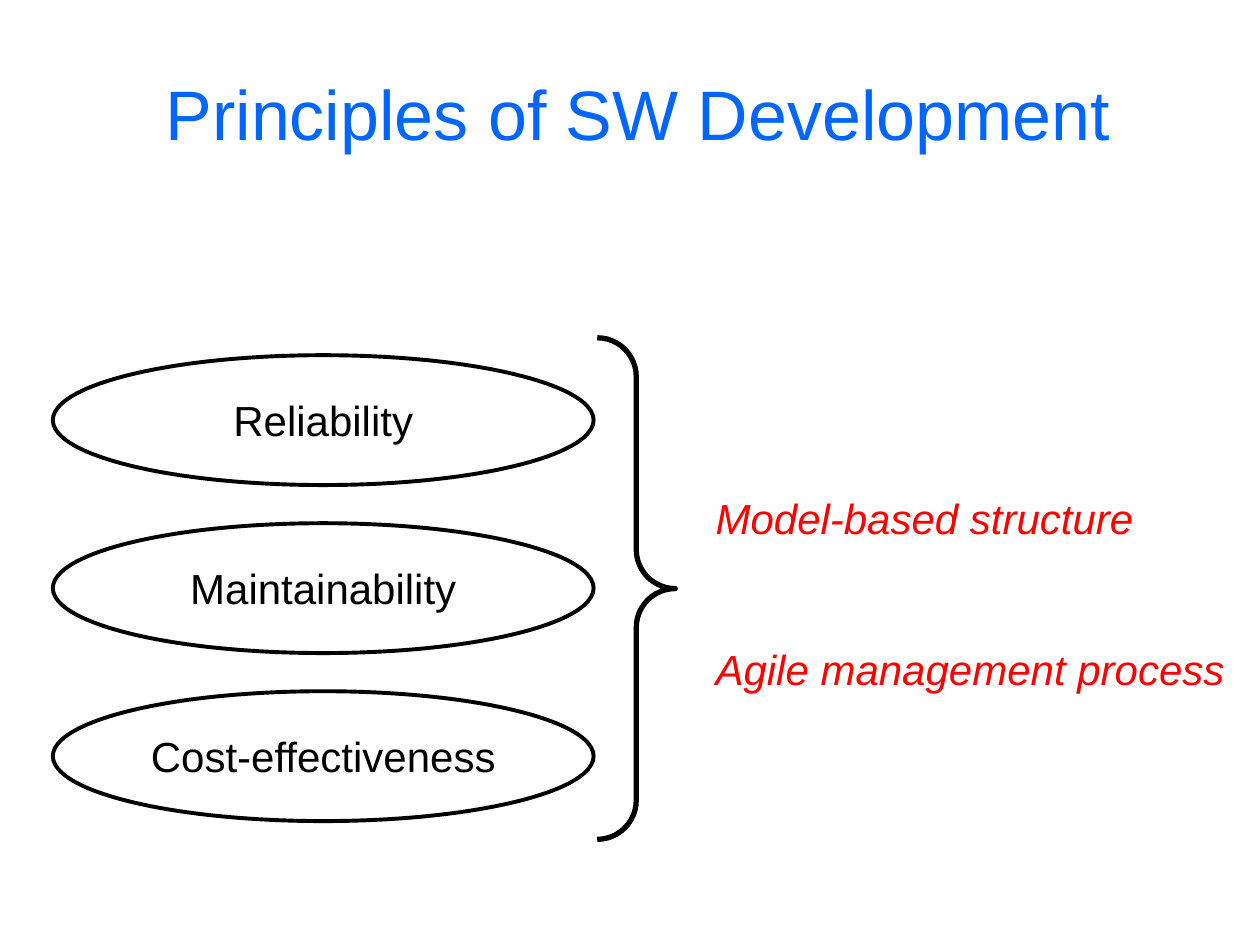
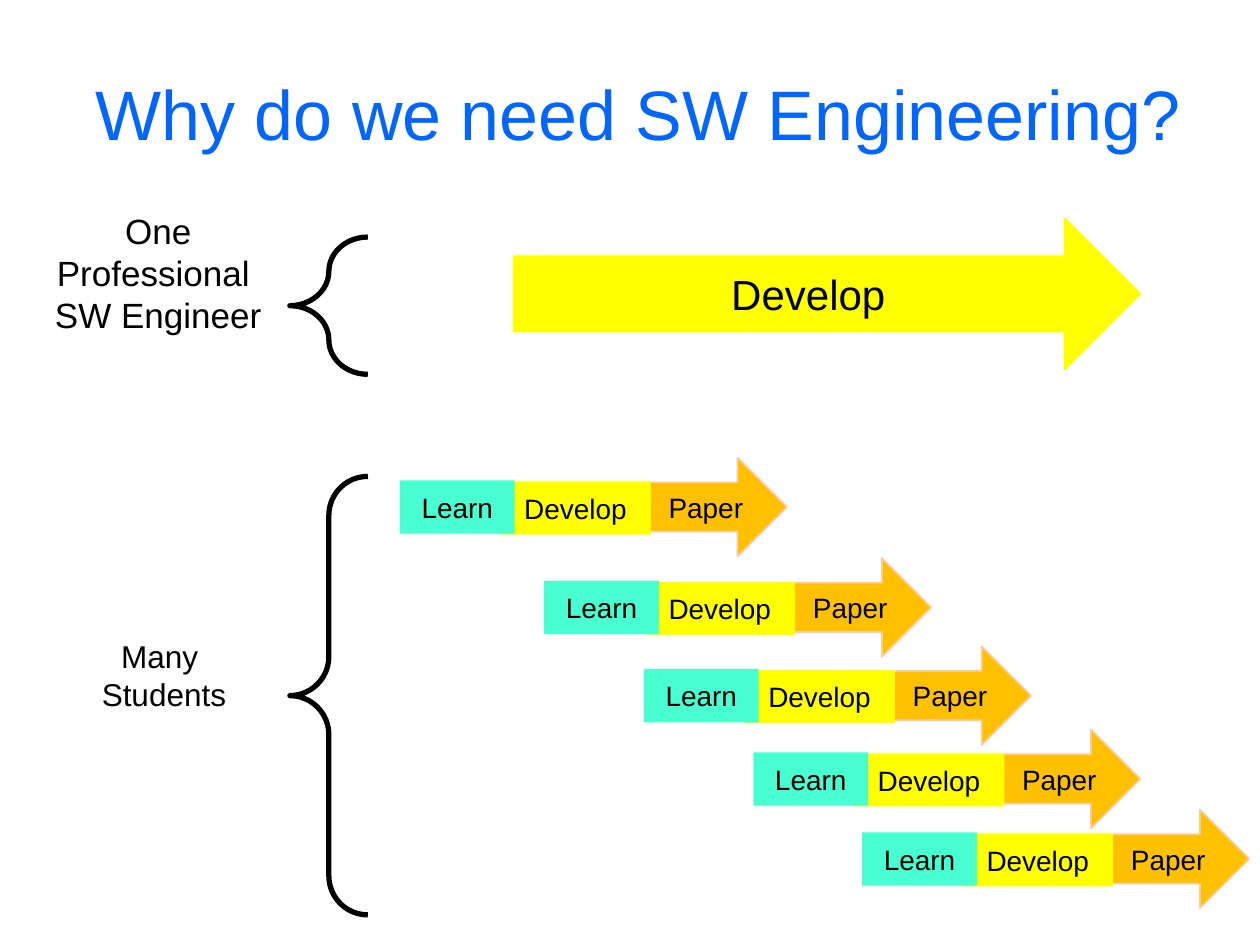
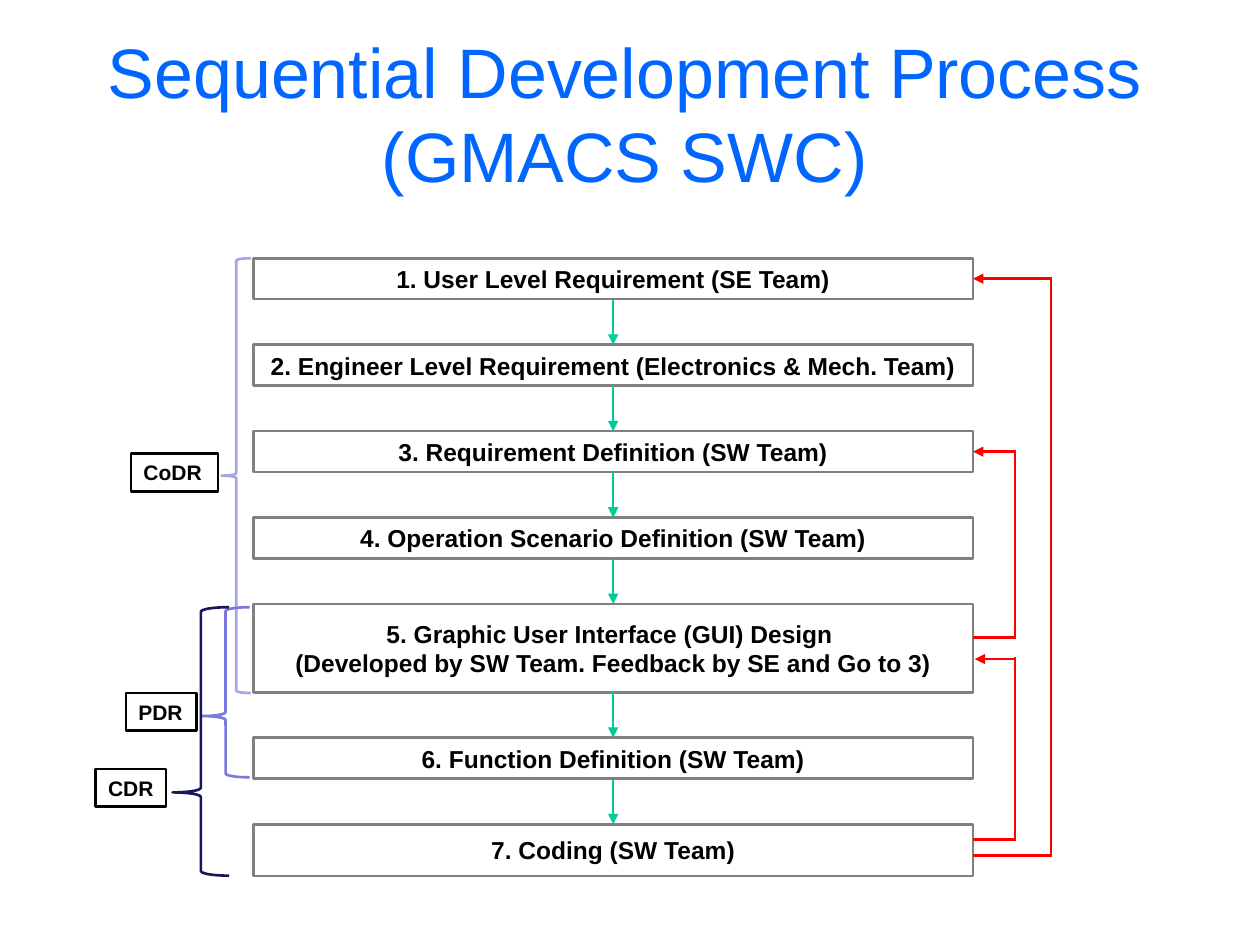
from dataclasses import dataclass

from lxml.etree import SubElement
from pptx import Presentation
from pptx.dml.color import RGBColor
from pptx.enum.shapes import MSO_CONNECTOR, MSO_SHAPE
from pptx.enum.text import MSO_ANCHOR, PP_ALIGN
from pptx.oxml.ns import qn
from pptx.util import Pt


@dataclass(frozen=True)
class Theme:
    font: str = "Arial"
    title: str = "0066FF"
    ink: str = "000000"
    red: str = "FF0000"
    green: str = "00CC99"
    gray: str = "808080"
    yellow: str = "FFFF00"
    orange: str = "FFC000"
    peach: str = "FFCC99"
    mint: str = "47FFD1"
    pale: str = "A5A5E9"
    mid: str = "7878DE"
    navy: str = "17175C"
    head: int = 40
    big: int = 24
    note: int = 20
    small: int = 18
    tag: int = 16
    step: int = 14
    mark: int = 12


T = Theme()


def put(slide, kind, box, text=(), size=T.big, color=T.ink, fill=None, line=None,
        width=1.5, bold=False, italic=False, align=PP_ALIGN.CENTER,
        anchor=MSO_ANCHOR.MIDDLE, wrap=True, adjust=()):
    """Add a shape, or a text box if kind is None; each item of text is a paragraph."""
    area = [Pt(v) for v in box]
    if kind is None:
        shape = slide.shapes.add_textbox(*area)
    else:
        shape = slide.shapes.add_shape(kind, *area)
        shape.shadow.inherit = False
        if fill:
            shape.fill.solid()
            shape.fill.fore_color.rgb = RGBColor.from_string(fill)
        else:
            shape.fill.background()
        if line:
            shape.line.color.rgb = RGBColor.from_string(line)
            shape.line.width = Pt(width)
        else:
            shape.line.fill.background()
        for i, value in enumerate(adjust):
            shape.adjustments[i] = value
    frame = shape.text_frame
    frame.word_wrap = wrap
    frame.vertical_anchor = anchor
    for i, words in enumerate(text):
        para = frame.add_paragraph() if i else frame.paragraphs[0]
        para.alignment = align
        for j, part in enumerate(words.split("\n")):
            if j:
                para.add_line_break()
            run = para.add_run()
            run.text = part
            run.font.name = T.font
            run.font.size = Pt(size)
            run.font.bold = bold
            run.font.italic = italic
            run.font.color.rgb = RGBColor.from_string(color)
    return shape


def link(slide, start, end, color, arrow=False):
    wire = slide.shapes.add_connector(
        MSO_CONNECTOR.STRAIGHT, *[Pt(v) for v in (*start, *end)])
    wire.line.color.rgb = RGBColor.from_string(color)
    wire.line.width = Pt(1.5)
    if arrow:
        SubElement(wire.line._get_or_add_ln(), qn("a:tailEnd"), type="triangle")
    SubElement(wire._element.spPr, qn("a:effectLst"))
    return wire


deck = Presentation()
deck.slide_width, deck.slide_height = Pt(720), Pt(540)
blank = deck.slide_layouts[6]

pages = []
for title, left, width in (
    ("Principles of SW Development", 21, 687),
    ("Why do we need SW Engineering?", 21, 687),
    ("Sequential Development Process (GMACS SWC)", 51, 612),
):
    page = deck.slides.add_slide(blank)
    put(page, None, (left, 19.5, width, 90), [title], T.head, T.title)
    pages.append(page)
goals, need, flow = pages

# Principles
for i, name in enumerate(("Reliability", "Maintainability", "Cost-effectiveness")):
    put(goals, MSO_SHAPE.OVAL, (30.2, 203 + 96 * i, 309, 74.2), [name],
        line=T.ink, width=2.25)
put(goals, MSO_SHAPE.RIGHT_BRACE, (341.3, 193, 44.6, 286.6), line=T.ink, width=3,
    adjust=(0.5, 0.5))
means = put(goals, None, (401.8, 263.5, 334, 138.2),
            ["Model-based structure", "Agile management process"],
            color=T.red, italic=True, align=PP_ALIGN.LEFT, anchor=MSO_ANCHOR.TOP)
for para in means.text_frame.paragraphs:
    para.line_spacing = 1.5
means.text_frame.paragraphs[1].space_before = Pt(43.2)

# One engineer against many students
for top, height in ((135.4, 78.5), (272.2, 250.6)):
    brace = put(need, MSO_SHAPE.RIGHT_BRACE, (165.6, top, 44.6, height),
                line=T.ink, width=3, adjust=(0.5, 0.5))
    brace.rotation = 180
put(need, MSO_SHAPE.RIGHT_ARROW, (293.6, 125, 358, 86), ["Develop"],
    fill=T.yellow, line=T.yellow, width=1)
put(need, None, (20.2, 116, 140.4, 80), ["One Professional ", "SW Engineer"], T.note,
    anchor=MSO_ANCHOR.TOP)
put(need, None, (20.2, 360.7, 147, 51), ["Many ", "Students"], T.small,
    anchor=MSO_ANCHOR.TOP)

parts = (
    ("Paper", MSO_SHAPE.RIGHT_ARROW, 142.6, -13, 78.5, 56.2, T.orange, T.peach),
    ("Develop", MSO_SHAPE.RECTANGLE, 57.2, 0.5, 86.2, 30.4, T.yellow, None),
    ("Learn", MSO_SHAPE.RECTANGLE, 0, 0, 65.6, 30.4, T.mint, None),
)
for x, y in ((228.5, 274.6), (311, 332), (368, 382.4), (430.5, 430), (492.7, 475.7)):
    for name, kind, dx, dy, width, height, fill, line in parts:
        put(need, kind, (x + dx, y + dy, width, height), [name], T.tag,
            fill=fill, line=line, width=1)

# Sequential process
left, wide, gap, top = 144.8, 411.2, 26, 147.6
steps = []
for name, height in (
    ("1. User Level Requirement (SE Team)", 23.4),
    ("2. Engineer Level Requirement (Electronics & Mech. Team)", 23.4),
    ("3. Requirement Definition (SW Team)", 23.4),
    ("4. Operation Scenario Definition (SW Team)", 23.4),
    ("5. Graphic User Interface (GUI) Design \n"
     "(Developed by SW Team. Feedback by SE and Go to 3)", 50.4),
    ("6. Function Definition (SW Team)", 23.4),
    ("7. Coding (SW Team)", 29.5),
):
    steps.append(put(flow, MSO_SHAPE.RECTANGLE, (left, top, wide, height), [name],
                     T.step, line=T.gray, bold=True))
    top += height + gap

for above, below in zip(steps, steps[1:]):
    wire = link(flow, (0, 0), (0, 0), T.green, arrow=True)
    wire.begin_connect(above, 2)
    wire.end_connect(below, 0)

edge = left + wide
for x, low, high, goal in (
    (580, 364.4, 258.1, steps[2]),
    (580, 479.7, 376.6, None),
    (600.5, 489, 159.3, steps[0]),
):
    link(flow, (edge, low), (x, low), T.red)
    link(flow, (x, low + 1), (x, high - 1), T.red)
    wire = link(flow, (x, high), (edge + 1, high), T.red, arrow=True)
    if goal:
        wire.end_connect(goal, 3)

for box, color, adjust in (
    ((126.7, 147.6, 16.6, 248.4), T.pale, (0.08, 0.5)),
    ((115.2, 347, 27.4, 97.2), T.mid, (0.08, 0.64)),
    ((98.6, 347, 32.4, 153.4), T.navy, (0.08, 0.69)),
):
    put(flow, MSO_SHAPE.LEFT_BRACE, box, line=color, adjust=adjust)

for name, x, y, width in (
    ("CoDR", 74.9, 259.2, 49.7), ("PDR", 72, 396, 40.3), ("CDR", 54.7, 439.4, 40.3),
):
    put(flow, MSO_SHAPE.RECTANGLE, (x, y, width, 21.6), [name], T.mark, line=T.ink,
        bold=True, align=PP_ALIGN.LEFT, wrap=False)

deck.save("out.pptx")
